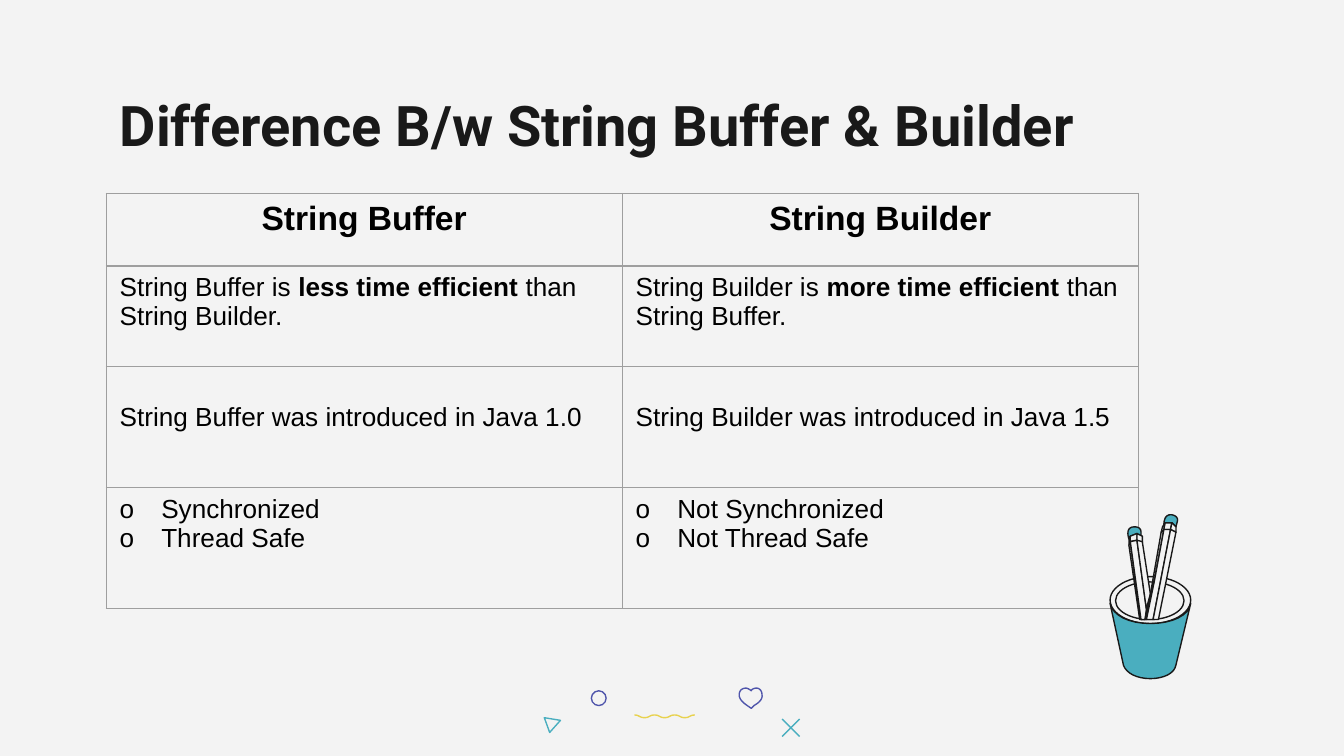
import pptx
import pptx.util
import pptx.dml.color
import pptx.enum.shapes
import pptx.enum.text
import pptx.oxml
import pptx.oxml.ns
from lxml import etree

Inches = pptx.util.Inches
Pt = pptx.util.Pt
RGBColor = pptx.dml.color.RGBColor
ALIGN = pptx.enum.text.PP_ALIGN
ANCHOR = pptx.enum.text.MSO_ANCHOR
SHAPE = pptx.enum.shapes.MSO_SHAPE
qn = pptx.oxml.ns.qn

PAPER = RGBColor(0xF3, 0xF3, 0xF3)
INK = RGBColor(0x19, 0x19, 0x19)
BLACK = RGBColor(0x00, 0x00, 0x00)
GRAY = RGBColor(0x9E, 0x9E, 0x9E)
TEAL = RGBColor(0x4A, 0xAE, 0xBF)
BLUE = RGBColor(0x4F, 0x55, 0xAB)
GOLD = RGBColor(0xE8, 0xD2, 0x4F)
THIN = Pt(0.75)

# Asterisks enclose bold words.
ROWS = [
    ("*String Buffer*", "*String Builder*"),
    ("String Buffer is *less time efficient* than String Builder.",
     "String Builder is *more time efficient* than String Buffer."),
    ("String Buffer was introduced in Java 1.0",
     "String Builder was introduced in Java 1.5"),
    ("Synchronized\nThread Safe", "Not Synchronized\nNot Thread Safe"),
]
HEIGHTS = [0.54, 0.75, 0.9, 0.9]

# Outline steps: two numbers are a line, six are a Bezier curve.
HEART = [(5.59, 5.27), (5.56, 5.25), (5.5, 5.21, 5.5, 5.18, 5.5, 5.17),
         (5.5, 5.14, 5.52, 5.12, 5.55, 5.12),
         (5.56, 5.12, 5.58, 5.13, 5.59, 5.14),
         (5.59, 5.13, 5.61, 5.12, 5.63, 5.12),
         (5.65, 5.12, 5.67, 5.14, 5.67, 5.17),
         (5.67, 5.18, 5.68, 5.21, 5.61, 5.25)]
PENCILS = [
    # left pencil: eraser, band, then three sides
    (TEAL, [(8.4, 4.01), (8.39, 3.98, 8.38, 3.92, 8.44, 3.92),
            (8.47, 3.92, 8.49, 3.93, 8.49, 3.96), (8.49, 3.99),
            (8.46, 3.97), (8.41, 3.99)]),
    (PAPER, [(8.41, 3.99), (8.4, 4.01), (8.4, 4.06), (8.41, 4.03)]),
    (PAPER, [(8.46, 3.97), (8.41, 3.99), (8.41, 4.03), (8.46, 4.02)]),
    (PAPER, [(8.46, 3.97), (8.46, 4.02), (8.5, 4.04), (8.5, 3.99)]),
    (PAPER, [(8.41, 4.03), (8.4, 4.06), (8.48, 4.61), (8.49, 4.61)]),
    (PAPER, [(8.46, 4.02), (8.41, 4.03), (8.49, 4.61), (8.52, 4.61),
             (8.53, 4.53)]),
    (PAPER, [(8.46, 4.02), (8.53, 4.53), (8.56, 4.42), (8.5, 4.03)]),
    # right pencil: eraser, band, then three sides
    (TEAL, [(8.66, 3.91), (8.66, 3.87, 8.67, 3.83, 8.71, 3.83),
            (8.74, 3.83, 8.77, 3.85, 8.76, 3.88), (8.75, 3.92),
            (8.72, 3.89), (8.67, 3.89)]),
    (PAPER, [(8.67, 3.89), (8.65, 3.92), (8.64, 3.96), (8.66, 3.95)]),
    (PAPER, [(8.67, 3.89), (8.66, 3.94), (8.71, 3.94), (8.72, 3.89)]),
    (PAPER, [(8.72, 3.89), (8.71, 3.94), (8.75, 3.96), (8.75, 3.92)]),
    (PAPER, [(8.66, 3.94), (8.64, 3.96), (8.56, 4.42), (8.52, 4.61),
             (8.53, 4.61), (8.59, 4.32)]),
    (PAPER, [(8.66, 3.94), (8.59, 4.32), (8.53, 4.61), (8.58, 4.61),
             (8.71, 3.94)]),
    (PAPER, [(8.71, 3.94), (8.58, 4.61), (8.62, 4.61), (8.75, 3.96)]),
]
CUP = [(8.86, 4.49), (8.85, 4.58, 8.72, 4.64, 8.56, 4.64),
       (8.4, 4.64, 8.28, 4.58, 8.26, 4.49), (8.36, 4.95),
       (8.38, 5.01, 8.46, 5.05, 8.56, 5.05),
       (8.66, 5.05, 8.74, 5.01, 8.75, 4.95)]


def style(shape, line, fill=None):
    shape.shadow.inherit = False
    shape.line.color.rgb = line
    shape.line.width = THIN
    if fill is None:
        shape.fill.background()
    else:
        shape.fill.solid()
        shape.fill.fore_color.rgb = fill


def trace(steps, count=8):
    """Turn outline steps into points, sampling each curve count times."""
    dots = [steps[0]]
    for step in steps[1:]:
        if len(step) == 2:
            dots.append(step)
            continue
        start, ends = dots[-1], (step[:2], step[2:4], step[4:])
        for i in range(1, count + 1):
            t = i / count
            u = 1 - t
            mix = (u ** 3, 3 * u * u * t, 3 * u * t * t, t ** 3)
            dots.append(tuple(sum(m * p[axis] for m, p in zip(mix, (start, *ends)))
                              for axis in (0, 1)))
    return dots


def add_free(slide, steps, line, fill=None, close=True):
    dots = [(Inches(x), Inches(y)) for x, y in trace(steps)]
    build = slide.shapes.build_freeform(*dots[0], scale=1.0)
    build.add_line_segments(dots[1:], close=close)
    style(build.convert_to_shape(), line, fill)


def add_oval(slide, box, line, fill=None):
    shape = slide.shapes.add_shape(SHAPE.OVAL, *map(Inches, box))
    style(shape, line, fill)


def add_line(slide, ends, color):
    line = slide.shapes.add_connector(
        pptx.enum.shapes.MSO_CONNECTOR.STRAIGHT, *map(Inches, ends))
    line.line.color.rgb = color
    line.line.width = THIN
    etree.SubElement(line._element.spPr, qn("a:effectLst"))


def add_title(slide, text):
    title = slide.shapes.title
    title.left, title.top, title.width, title.height = map(
        Inches, (0.79, 0.57, 8.43, 0.63))
    frame = title.text_frame
    frame.text = text
    frame.word_wrap = True
    frame.auto_size = pptx.enum.text.MSO_AUTO_SIZE.NONE
    frame.vertical_anchor = ANCHOR.TOP
    frame.margin_left = frame.margin_right = Inches(0.1)
    frame.margin_top = frame.margin_bottom = Inches(0.1)
    para = frame.paragraphs[0]
    para.alignment = ALIGN.LEFT
    font = para.runs[0].font
    font.name, font.size, font.bold = "Roboto", Pt(30), True
    font.color.rgb = INK


def add_border(cell):
    props = cell._tc.get_or_add_tcPr()
    for i, side in enumerate(("lnL", "lnR", "lnT", "lnB")):
        line = etree.Element(qn("a:" + side), w=str(int(THIN)))
        fill = etree.SubElement(line, qn("a:solidFill"))
        etree.SubElement(fill, qn("a:srgbClr"), val=str(GRAY))
        props.insert(i, line)


def add_bullet(para):
    props = para._p.get_or_add_pPr()
    props.set("marL", str(Inches(0.31)))
    props.set("indent", str(-Inches(0.31)))
    etree.SubElement(props, qn("a:buFont"), typeface="Arial")
    etree.SubElement(props, qn("a:buChar"), char="ο")


def fill_cell(cell, text, size):
    cell.fill.background()
    add_border(cell)
    frame = cell.text_frame
    for i, line in enumerate(text.split("\n")):
        para = frame.add_paragraph() if i else frame.paragraphs[0]
        for j, part in enumerate(line.split("*")):
            if part:
                run = para.add_run()
                run.text = part
                font = run.font
                font.name, font.size, font.bold = "Arial", Pt(size), j % 2 == 1
                font.color.rgb = BLACK


def add_table(slide):
    table = slide.shapes.add_table(
        len(ROWS), 2, *map(Inches, (0.79, 1.44, 7.68, sum(HEIGHTS)))).table
    table.first_row = table.horz_banding = False
    for r, (row, high) in enumerate(zip(ROWS, HEIGHTS)):
        table.rows[r].height = Inches(high)
        for c, text in enumerate(row):
            cell = table.cell(r, c)
            fill_cell(cell, text, 14 if r else 18)
            if r == 0:
                cell.text_frame.paragraphs[0].alignment = ALIGN.CENTER
            elif r == 2:
                cell.margin_top = Inches(0.27)
            elif r == 3:
                for para in cell.text_frame.paragraphs:
                    add_bullet(para)


def add_marks(slide):
    """Draw the row of small ornaments at the foot."""
    add_oval(slide, (4.4, 5.14, 0.11, 0.11), BLUE)
    add_free(slide, [(4.05, 5.34), (4.09, 5.45), (4.17, 5.36)], TEAL)
    wave, step = [(4.72, 5.32)], 0.45 / 6
    for i in range(6):
        x, (low, high) = 4.72 + i * step, ((5.32, 5.34), (5.34, 5.32))[i % 2]
        mid = x + step / 2
        wave.append((mid, low, mid, high, x + step, high))
    add_free(slide, wave, GOLD, close=False)
    add_line(slide, (5.82, 5.35, 5.95, 5.48), TEAL)
    add_line(slide, (5.95, 5.35, 5.82, 5.48), TEAL)
    add_free(slide, HEART, BLUE)


def add_cup(slide):
    add_oval(slide, (8.26, 4.29, 0.6, 0.35), INK, PAPER)
    add_oval(slide, (8.3, 4.33, 0.51, 0.28), INK, PAPER)
    for fill, steps in PENCILS:
        add_free(slide, steps, INK, fill)
    add_free(slide, CUP, INK, TEAL)


def main():
    deck = pptx.Presentation()
    deck.slide_width = Inches(10)
    deck.slide_height = deck.slide_width * 9 // 16
    slide = deck.slides.add_slide(deck.slide_layouts[5])
    slide.background.fill.solid()
    slide.background.fill.fore_color.rgb = PAPER
    add_marks(slide)
    add_title(slide, "Difference B/w String Buffer & Builder")
    add_table(slide)
    add_cup(slide)
    deck.save("out.pptx")


if __name__ == "__main__":
    main()
